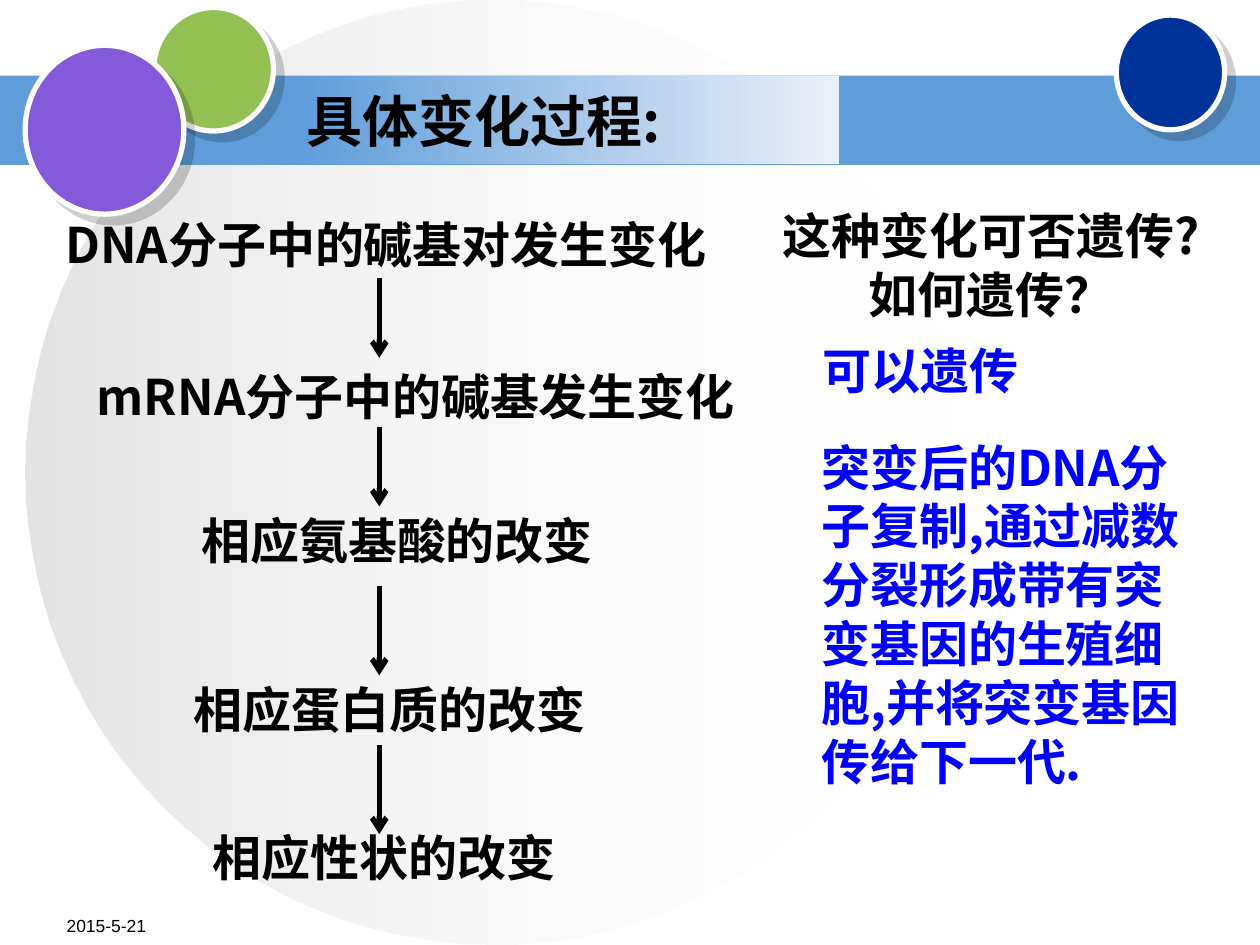
from pptx import Presentation
from pptx.dml.color import RGBColor
from pptx.enum.shapes import MSO_CONNECTOR, MSO_SHAPE
from pptx.enum.text import MSO_ANCHOR, PP_ALIGN
from pptx.oxml.ns import qn
from pptx.util import Inches, Pt
from lxml import etree

OVAL, RECT = MSO_SHAPE.OVAL, MSO_SHAPE.RECTANGLE
LINE = MSO_CONNECTOR.STRAIGHT
LEFT, CENTER = PP_ALIGN.LEFT, PP_ALIGN.CENTER
TOP, MIDDLE = MSO_ANCHOR.TOP, MSO_ANCHOR.MIDDLE

BLACK = RGBColor(0x00, 0x00, 0x00)
WHITE = RGBColor(0xFF, 0xFF, 0xFF)
GRAY = RGBColor(0xC0, 0xC0, 0xC0)
SKY = RGBColor(0x5E, 0x9C, 0xDA)
PALE = RGBColor(0xEB, 0xF0, 0xF8)
GREEN = RGBColor(0x93, 0xC0, 0x52)
NAVY = RGBColor(0x00, 0x33, 0x99)
PURPLE = RGBColor(0x85, 0x5A, 0xDA)
BLUE = RGBColor(0x00, 0x00, 0xFF)

HAN = "Noto Sans CJK SC"
AXIS = 3.01  # x of the flow arrows


def child(node, tag, **attrs):
    item = etree.SubElement(node, qn(tag))
    for key, val in attrs.items():
        item.set(key, str(val))
    return item


def write(frame, text, size=28, color=BLACK, bold=True, font=HAN,
          align=LEFT, anchor=TOP):
    """Fill a text frame, one paragraph per line of text."""
    frame.word_wrap = True
    frame.vertical_anchor = anchor
    frame.text = text
    for para in frame.paragraphs:
        para.alignment = align
        for run in para.runs:
            run.font.size = Pt(size)
            run.font.bold = bold
            run.font.color.rgb = color
            run.font.name = font
            child(run.font._element, "a:ea", typeface=font)


def label(slide, box, text, **style):
    area = slide.shapes.add_textbox(*map(Inches, box))
    write(area.text_frame, text, **style)


def blend(shape, *colors):
    """Fill with a left-to-right gradient of two colours."""
    shape.fill.gradient()
    shape.fill.gradient_angle = 0
    for stop, color in zip(shape.fill.gradient_stops, colors):
        stop.color.rgb = color


def plain(slide, kind, box):
    shape = slide.shapes.add_shape(kind, *map(Inches, box))
    shape.shadow.inherit = False
    shape.line.fill.background()
    return shape


def ball(slide, box, color):
    """Circle with a white rim and a hard shadow."""
    shape = plain(slide, OVAL, box)
    shape.fill.solid()
    shape.fill.fore_color.rgb = color
    shape.line.color.rgb = WHITE
    shape.line.width = Pt(3)
    effects = shape._element.spPr.find(qn("a:effectLst"))
    shade = child(effects, "a:outerShdw", blurRad=0, dist=Pt(7.1),
                  dir=45 * 60000, algn="ctr", rotWithShape=0)
    tint = child(shade, "a:srgbClr", val=BLACK)
    child(tint, "a:alpha", val=19000)


def arrow(slide, start, end):
    """Downward arrow on the flow axis."""
    link = slide.shapes.add_connector(
        LINE, Inches(AXIS), Inches(start), Inches(AXIS), Inches(end))
    link.line.color.rgb = BLACK
    link.line.width = Pt(3)
    child(link.line._get_or_add_ln(), "a:tailEnd", type="arrow")
    child(link._element.spPr, "a:effectLst")


def backdrop(slide):
    disc = plain(slide, OVAL, (0.2, 0, 7.44, 7.5))
    blend(disc, GRAY, WHITE)
    tints = disc._element.spPr.iter(qn("a:srgbClr"))
    for tint, alpha in zip(list(tints), (44000, 0)):
        child(tint, "a:alpha", val=alpha)

    band = plain(slide, RECT, (0, 0.6, 10, 0.71))
    band.fill.solid()
    band.fill.fore_color.rgb = SKY

    ball(slide, (1.22, 0.06, 0.95, 0.98), GREEN)
    ball(slide, (8.86, 0.12, 0.86, 0.91), NAVY)
    ball(slide, (0.2, 0.36, 1.26, 1.34), PURPLE)


def heading(slide, text):
    title = slide.shapes.title
    title.left, title.top = Inches(2.33), Inches(0.6)
    title.width, title.height = Inches(4.33), Inches(0.7)
    blend(title, SKY, PALE)
    write(title.text_frame, text, size=32, anchor=MIDDLE)
    slide.shapes._spTree.append(title._element)  # bring to front


def main():
    deck = Presentation()
    deck.slide_width, deck.slide_height = Inches(10), Inches(7.5)
    slide = deck.slides.add_slide(deck.slide_layouts[5])

    backdrop(slide)
    heading(slide, "具体变化过程:")

    # Flow of changes
    steps = [
        (0.42, 1.65, 5.5, "DNA分子中的碱基对发生变化"),
        (0.67, 2.86, 5.75, "mRNA分子中的碱基发生变化"),
        (1.5, 4, 3.8, "相应氨基酸的改变"),
        (1.44, 5.34, 4.06, "相应蛋白质的改变"),
        (1.59, 6.52, 3.41, "相应性状的改变"),
    ]
    for left, top, width, text in steps:
        label(slide, (left, top, width, 0.57), text)
    for start, end in ((2.21, 2.84), (3.39, 4.02), (4.65, 5.36), (5.91, 6.62)):
        arrow(slide, start, end)

    # Question and answer
    label(slide, (5.81, 1.58, 4.11, 1.03), "这种变化可否遗传?\n如何遗传？",
          align=CENTER)
    label(slide, (6.43, 2.65, 3.49, 0.57), "可以遗传", color=BLUE)
    label(slide, (6.42, 3.42, 3.08, 2.9),
          "突变后的DNA分子复制,通过减数分裂形成带有突变基因的生殖细胞,"
          "并将突变基因传给下一代.", color=BLUE)

    # Date
    label(slide, (0.43, 7.21, 2.08, 0.29), "2015-5-21",
          size=10, bold=False, font="Arial")

    deck.save("out.pptx")


if __name__ == "__main__":
    main()
